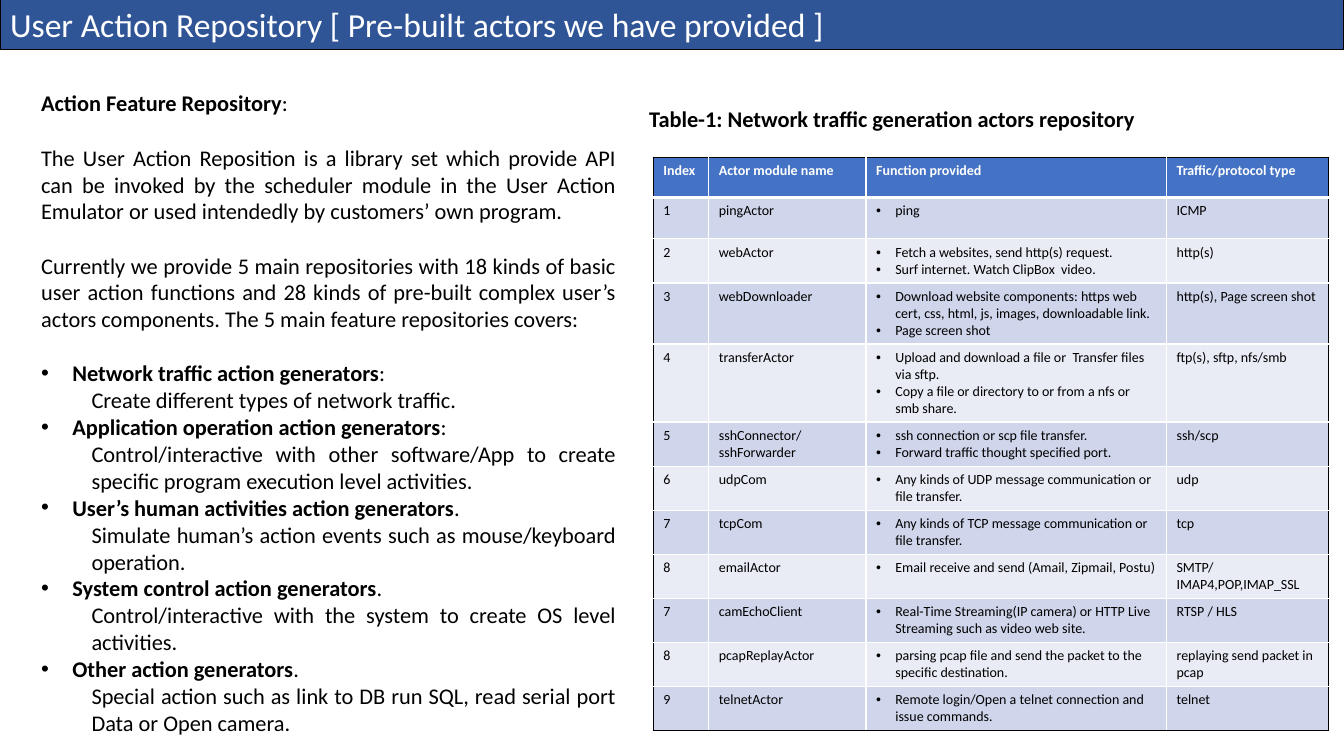
from lxml import etree
from pptx import Presentation
from pptx import util as u
from pptx.dml.color import RGBColor
from pptx.enum import shapes, text
from pptx.oxml import ns

BLACK = RGBColor(0, 0, 0)
WHITE = RGBColor(0xFF, 0xFF, 0xFF)
NAVY = RGBColor(0x2F, 0x55, 0x97)
HEADER_BLUE = RGBColor(0x44, 0x72, 0xC4)
BANDS = (RGBColor(0xCF, 0xD5, 0xEA), RGBColor(0xE9, 0xEB, 0xF5))

INTRO = (
    "The User Action Reposition is a library set which provide API can be invoked by the "
    "scheduler module in the User Action Emulator or used intendedly by customers’ own program.",
    "Currently we provide 5 main repositories with 18 kinds of basic user action functions and "
    "28 kinds of pre-built complex user’s actors components. "
    "The 5 main feature repositories covers:",
)
GENERATORS = (
    ("Network traffic action generators", ":", "Create different types of network traffic."),
    ("Application operation action generators", ":",
     "Control/interactive with other software/App to create specific program execution "
     "level activities."),
    ("User’s human activities action generators", ".",
     "Simulate human’s action events such as mouse/keyboard operation."),
    ("System control action generators", ".",
     "Control/interactive with the system to create OS level activities."),
    ("Other action generators", ".",
     "Special action such as link to DB run SQL, read serial port Data or Open camera."),
)
HEADINGS = ("Index", "Actor module name", "Function provided", "Traffic/protocol type")
ACTORS = (
    ("1", "pingActor", ["ping"], "ICMP"),
    ("2", "webActor", ["Fetch a websites, send http(s) request.",
                       "Surf internet. Watch ClipBox  video."], "http(s)"),
    ("3", "webDownloader",
     ["Download website components: https web cert, css, html, js, images, downloadable link.",
      "Page screen shot"], "http(s), Page screen shot"),
    ("4", "transferActor", ["Upload and download a file or  Transfer files via sftp.",
                            "Copy a file or directory to or from a nfs or smb share."],
     "ftp(s), sftp, nfs/smb"),
    ("5", "sshConnector/sshForwarder", ["ssh connection or scp file transfer.",
                                        "Forward traffic thought specified port."], "ssh/scp"),
    ("6", "udpCom", ["Any kinds of UDP message communication or file transfer."], "udp"),
    ("7", "tcpCom", ["Any kinds of TCP message communication or file transfer."], "tcp"),
    ("8", "emailActor", ["Email receive and send (Amail, Zipmail, Postu)"],
     "SMTP/IMAP4,POP,IMAP_SSL"),
    ("7", "camEchoClient",
     ["Real-Time Streaming(IP camera) or HTTP Live Streaming such as video web site."],
     "RTSP / HLS"),
    ("8", "pcapReplayActor",
     ["parsing pcap file and send the packet to the specific destination."],
     "replaying send packet in pcap"),
    ("9", "telnetActor", ["Remote login/Open a telnet connection and issue commands."], "telnet"),
)


class SlideBuilder:
    """Holds the text style and the current slide, and adds each kind of element."""

    def __init__(self, slide, font_name):
        self.slide = slide
        self.font_name = font_name

    def style(self, para, size, color=BLACK, bold=None):
        font = para.font
        font.name, font.size, font.bold = self.font_name, u.Pt(size), bold
        font.color.rgb = color

    def indent(self, para, left, bullet=False):
        props = para._p.get_or_add_pPr()
        props.set("marL", str(u.Inches(left)))
        props.set("indent", str(-u.Inches(left) if bullet else 0))
        if bullet:
            etree.SubElement(props, ns.qn("a:buFont")).set("typeface", "Arial")
            etree.SubElement(props, ns.qn("a:buChar")).set("char", "•")

    def place(self, box, left, top, width, height):
        box.left, box.top = u.Inches(left), u.Inches(top)
        box.width, box.height = u.Inches(width), u.Inches(height)

    def title(self, words, *spot):
        box = self.slide.shapes.title
        self.place(box, *spot)
        box.fill.solid()
        box.fill.fore_color.rgb = NAVY
        box.line.color.rgb = BLACK
        box.line.width = u.Pt(0.75)
        frame = box.text_frame
        frame.text = words
        frame.auto_size = text.MSO_AUTO_SIZE.NONE
        frame.vertical_anchor = text.MSO_ANCHOR.MIDDLE
        para = frame.paragraphs[0]
        para.alignment = text.PP_ALIGN.LEFT
        self.style(para, 24, WHITE)

    def text_box(self, *spot):
        box = self.slide.shapes.add_textbox(*map(u.Inches, spot))
        box.text_frame.word_wrap = True
        return box.text_frame

    def paragraph(self, frame, *parts, space=0, justify=True):
        para = frame.paragraphs[0] if not frame.text else frame.add_paragraph()
        bolds = [bold for words, bold in parts]
        shared = bolds[0] if len(set(bolds)) == 1 else None
        for words, bold in parts:
            span = para.add_run()
            span.text = words
            if shared is None:
                span.font.bold = bold
        para.space_before = u.Pt(space)
        para.alignment = text.PP_ALIGN.JUSTIFY if justify else text.PP_ALIGN.LEFT
        self.style(para, 16, bold=shared)
        return para

    def borders(self, cell, edges):
        props = cell._tc.get_or_add_tcPr()
        for place, (side, color, width) in enumerate(edges):
            line = etree.Element(ns.qn(f"a:ln{side}"), w=str(u.Pt(width)))
            fill = etree.SubElement(line, ns.qn("a:solidFill"))
            etree.SubElement(fill, ns.qn("a:srgbClr")).set("val", str(color))
            props.insert(place, line)

    def table(self, rows, widths, left, top, header_height, row_height):
        height = header_height + row_height * (len(rows) - 1)
        spot = map(u.Inches, (left, top, sum(widths), height))
        table = self.slide.shapes.add_table(len(rows), len(widths), *spot).table
        for column, width in zip(table.columns, widths):
            column.width = u.Inches(width)
        last_row, last_column = len(rows) - 1, len(widths) - 1
        for r, row in enumerate(rows):
            header = r == 0
            table.rows[r].height = u.Inches(header_height if header else row_height)
            for c, content in enumerate(row):
                cell = table.cell(r, c)
                cell.fill.solid()
                cell.fill.fore_color.rgb = HEADER_BLUE if header else BANDS[(r - 1) % 2]
                bulleted = isinstance(content, list)
                cell.text = "\n".join(content) if bulleted else content
                for para in cell.text_frame.paragraphs:
                    self.style(para, 10, WHITE if header else BLACK, header)
                    if bulleted:
                        self.indent(para, 0.19, bullet=True)
                self.borders(cell, (
                    ("L", BLACK if c == 0 else WHITE, 1),
                    ("R", BLACK if c == last_column else WHITE, 1),
                    ("T", BLACK if header else WHITE, 3 if r == 1 else 1),
                    ("B", BLACK if r == last_row else WHITE, 3 if header else 1),
                ))


def main():
    deck = Presentation()
    deck.slide_width, deck.slide_height = u.Inches(13.33), u.Inches(7.5)
    page = SlideBuilder(deck.slides.add_slide(deck.slide_layouts[5]), "Calibri")
    page.title("User Action Repository [ Pre-built actors we have provided ]", 0, -0.01, 13.33, 0.5)
    page.table((HEADINGS,) + ACTORS, (0.55, 1.56, 2.98, 1.61), 6.48, 1.56, 0.4, 0.41)

    caption = page.text_box(6.34, 0.99, 5.78, 0.37)
    page.paragraph(caption, ("Table-1: Network traffic generation actors repository", True),
                   justify=False)

    gap = 19.5
    overview = page.text_box(0.31, 0.84, 5.9, 6.56)
    page.paragraph(overview, ("Action Feature Repository", True), (":", False), justify=False)
    for words in INTRO:
        page.paragraph(overview, (words, False), space=gap)
    for number, (name, mark, detail) in enumerate(GENERATORS):
        heading = page.paragraph(overview, (name, True), (mark, False),
                                 space=0 if number else gap)
        page.indent(heading, 0.31, bullet=True)
        description = page.paragraph(overview, (detail, False))
        description.level = 1
        page.indent(description, 0.5)
    deck.save("out.pptx")


if __name__ == "__main__":
    main()
